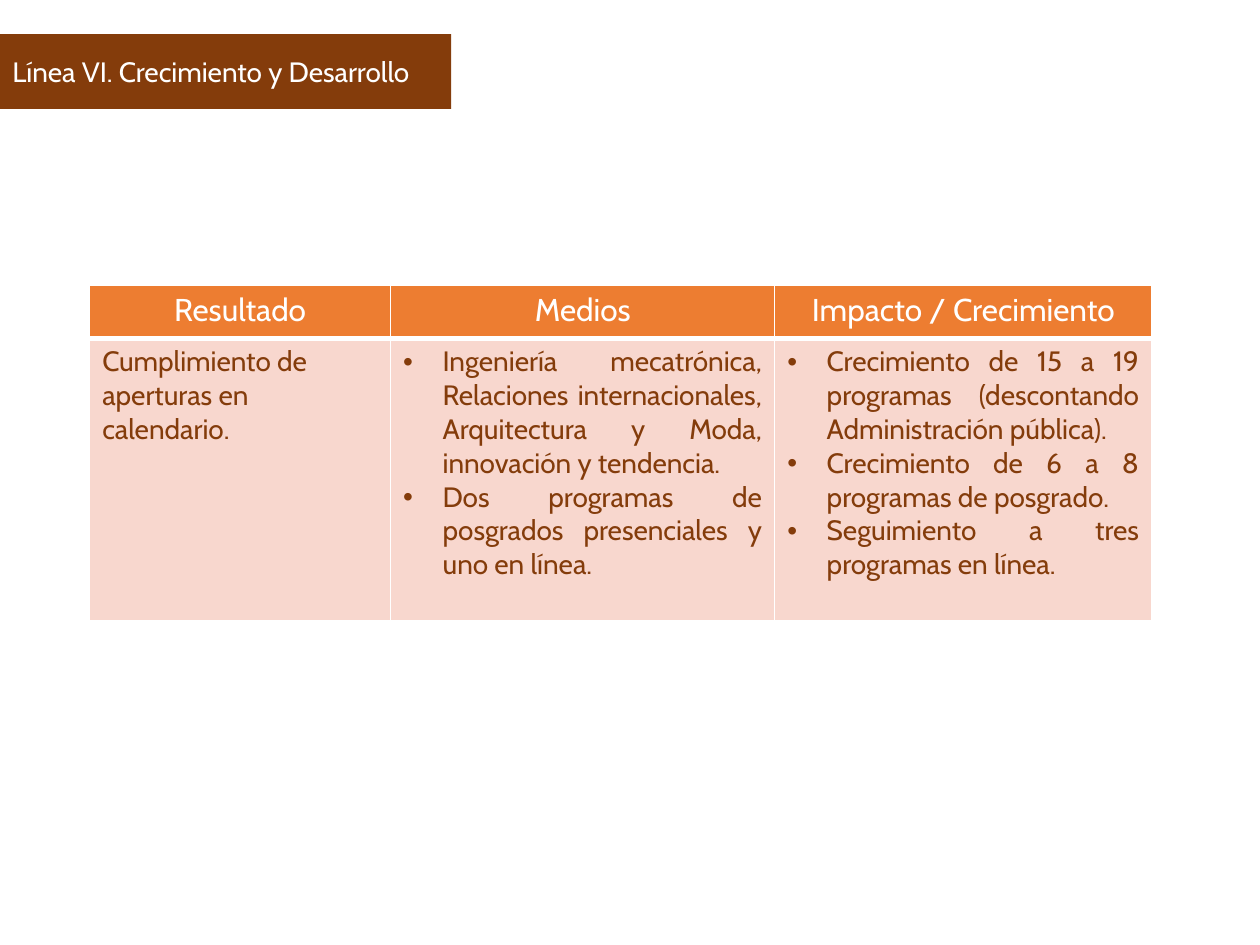
"""Build the slide on growth and development results, means and impact."""
from lxml import etree
from pptx import Presentation
from pptx.dml.color import RGBColor
from pptx.enum import shapes, text
from pptx.oxml import ns
from pptx.util import Pt

THEME = {
    "font": "Cabin",
    "white": RGBColor.from_string("FFFFFF"),
    "brown": RGBColor.from_string("843C0B"),
    "orange": RGBColor.from_string("ED7D31"),
    "blush": RGBColor.from_string("F8D7CE"),
    "heading_size": Pt(18),
    "body_size": Pt(16),
}


def style_runs(paragraph, size, color):
    for run in paragraph.runs:
        run.font.name = THEME["font"]
        run.font.size = size
        run.font.bold = False
        run.font.color.rgb = color


def style_cell(cell, fill, bottom_width):
    cell.fill.solid()
    cell.fill.fore_color.rgb = fill
    properties = cell._tc.get_or_add_tcPr()
    widths = {"lnL": Pt(1), "lnR": Pt(1), "lnT": Pt(1), "lnB": bottom_width}
    for position, (side, width) in enumerate(widths.items()):
        border = etree.Element(ns.qn(f"a:{side}"), w=str(int(width)))
        line_fill = etree.SubElement(border, ns.qn("a:solidFill"))
        etree.SubElement(line_fill, ns.qn("a:srgbClr"), val=str(THEME["white"]))
        properties.insert(position, border)


columns = [
    ("Resultado", 172, ["Cumplimiento de aperturas en calendario."]),
    ("Medios", 219.5, [
        "Ingeniería mecatrónica, Relaciones internacionales, Arquitectura y Moda, "
        "innovación y tendencia.",
        "Dos programas de posgrados presenciales y uno en línea.",
    ]),
    ("Impacto / Crecimiento", 215.5, [
        "Crecimiento de 15 a 19 programas (descontando Administración pública).",
        "Crecimiento de 6 a 8 programas de posgrado.",
        "Seguimiento a tres programas en línea.",
    ]),
]

presentation = Presentation()
presentation.slide_width, presentation.slide_height = Pt(720), Pt(540)
slide = presentation.slides.add_slide(presentation.slide_layouts[6])

results = slide.shapes.add_table(
    2, len(columns), Pt(51.25), Pt(163), Pt(607), Pt(192)).table
results.rows[0].height, results.rows[1].height = Pt(30.5), Pt(161.5)

for index, (heading, width, entries) in enumerate(columns):
    results.columns[index].width = Pt(width)

    heading_cell = results.cell(0, index)
    style_cell(heading_cell, THEME["orange"], Pt(3))
    heading_cell.text_frame.text = heading
    title = heading_cell.text_frame.paragraphs[0]
    title.alignment = text.PP_ALIGN.CENTER
    style_runs(title, THEME["heading_size"], THEME["white"])

    detail_cell = results.cell(1, index)
    style_cell(detail_cell, THEME["blush"], Pt(1))
    detail_cell.text_frame.text = "\n".join(entries)
    for entry in detail_cell.text_frame.paragraphs:
        if len(entries) > 1:
            entry.alignment = text.PP_ALIGN.JUSTIFY
            layout = entry._p.get_or_add_pPr()
            layout.set("marL", str(int(Pt(22.5))))
            layout.set("indent", str(int(Pt(-22.5))))
            etree.SubElement(layout, ns.qn("a:buFont"), typeface="Arial")
            etree.SubElement(layout, ns.qn("a:buChar"), char="•")
        style_runs(entry, THEME["body_size"], THEME["brown"])

banner = slide.shapes.add_shape(
    shapes.MSO_SHAPE.RECTANGLE, 0, Pt(19.5), Pt(257.75), Pt(42.75))
banner.shadow.inherit = False
banner.fill.solid()
banner.fill.fore_color.rgb = THEME["brown"]
banner.line.fill.background()
banner.text_frame.word_wrap = True
banner.text_frame.vertical_anchor = text.MSO_ANCHOR.MIDDLE
banner.text_frame.text = "Línea VI. Crecimiento y Desarrollo"
banner_title = banner.text_frame.paragraphs[0]
banner_title.alignment = text.PP_ALIGN.LEFT
style_runs(banner_title, THEME["body_size"], THEME["white"])

presentation.save("out.pptx")
